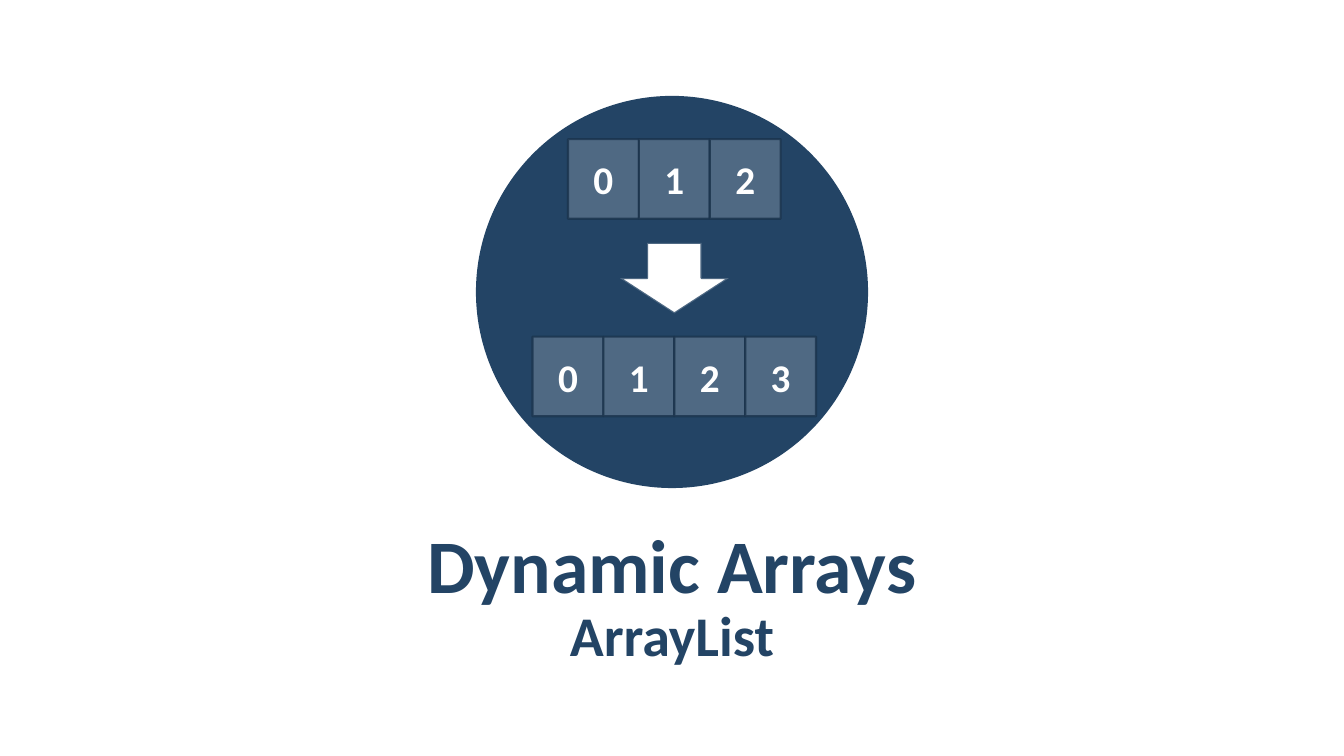
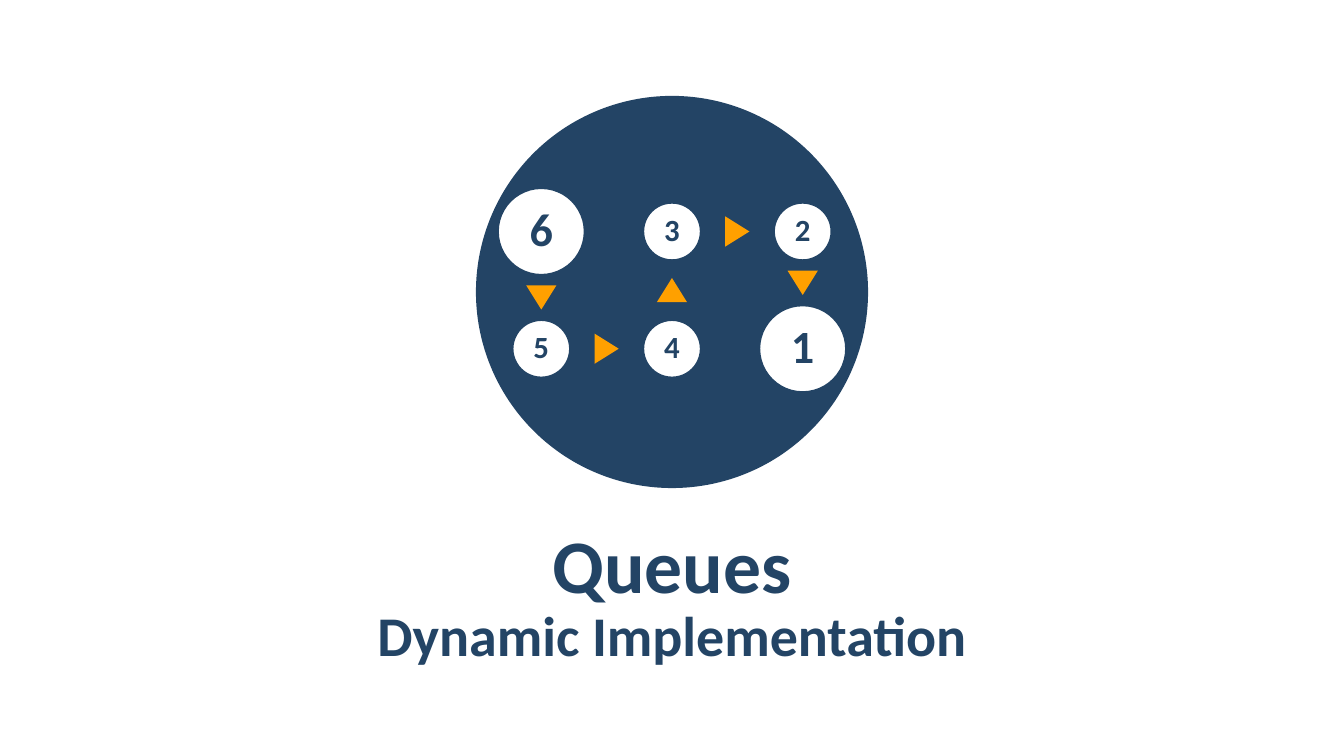
from dataclasses import dataclass
from typing import Optional
from lxml.etree import SubElement
from pptx import Presentation
from pptx.dml.color import RGBColor
from pptx.enum.shapes import MSO_SHAPE
from pptx.enum.text import MSO_ANCHOR, PP_ALIGN
from pptx.oxml.ns import qn
from pptx.util import Inches, Pt

COLS, ROWS = 40, 22.5
CELL = Inches(40 / 3) / COLS
FONT = "Calibri"
HUES = {"navy": "234465", "edge": "1A334C", "white": "FFFFFF", "gold": "FFA000"}


@dataclass(frozen=True)
class Area:
    x: float
    y: float
    wide: float
    high: float

    def place(self) -> list[int]:
        return [round(n * CELL) for n in (self.x, self.y, self.wide, self.high)]


@dataclass(frozen=True)
class Line:
    hue: str
    width: float
    alpha: int = 100


@dataclass(frozen=True)
class Label:
    size: float
    hue: str
    inset: tuple[float, float] = (0.1, 0.05)
    lead: float = 1.0
    gap: float = 0


@dataclass(frozen=True)
class Row:
    top: float
    count: int


@dataclass(frozen=True)
class Node:
    text: str
    col: int
    row: int
    big: bool = False

    @property
    def size(self) -> float:
        return 2.61 if self.big else 1.74

    @property
    def mid(self) -> tuple[float, float]:
        return MID_X + self.col * 3.89, 6.89 + self.row * 3.49


MID_X = COLS / 2
DISC = (MID_X, 8.69, 11.67)
TITLE = Label(54, "navy", (0.12, 0.04), 1.05, 6)
SUB = Label(40, "navy", (0.12, 0.04), 1.05, 6)
TITLE_AT = Area(2, 15.45, 36, 2.52)
SUB_AT = Area(2, 18, 36, 1.65)

BOX_W, BOX_H, BOX_MID = 2.11, 2.37, 20.07
BOX_LINE = Line("edge", 1.5, 80)
BOX_TEXT = Label(28, "white")
LISTS = [Row(4.14, 3), Row(10.02, 4)]

NODE_LINE = Line("navy", 2)
NODES = [
    Node("6", -1, 0, True),
    Node("5", -1, 1),
    Node("4", 0, 1),
    Node("3", 0, 0),
    Node("2", 1, 0),
    Node("1", 1, 1, True),
]


def around(x: float, y: float, wide: float, high: float) -> Area:
    return Area(x - wide / 2, y - high / 2, wide, high)


def fade(fill, alpha: int) -> None:
    if alpha < 100:
        tint = fill._xPr.find(qn("a:solidFill"))[0]
        SubElement(tint, qn("a:alpha")).set("val", str(alpha * 1000))


def paint(fill, hue: str, alpha: int = 100) -> None:
    fill.solid()
    fill.fore_color.rgb = RGBColor.from_string(HUES[hue])
    fade(fill, alpha)


def write(frame, text: str, label: Label) -> None:
    frame.text = text
    frame.word_wrap = True
    frame.vertical_anchor = MSO_ANCHOR.MIDDLE
    side, edge = (Inches(n) for n in label.inset)
    frame.margin_left = frame.margin_right = side
    frame.margin_top = frame.margin_bottom = edge
    para = frame.paragraphs[0]
    para.alignment = PP_ALIGN.CENTER
    para.line_spacing = label.lead
    para.space_before = para.space_after = Pt(label.gap)
    font = para.runs[0].font
    font.name, font.size, font.bold = FONT, Pt(label.size), True
    font.color.rgb = RGBColor.from_string(HUES[label.hue])


def draw(slide, kind: MSO_SHAPE, area: Area, hue: str, alpha: int = 100,
         line: Optional[Line] = None):
    shape = slide.shapes.add_shape(kind, *area.place())
    shape.shadow.inherit = False
    paint(shape.fill, hue, alpha)
    if line is None:
        shape.line.fill.background()
    else:
        shape.line.width = Pt(line.width)
        paint(shape.line.fill, line.hue, line.alpha)
    return shape


def start(deck, title: str, sub: str):
    slide = deck.slides.add_slide(deck.slide_layouts[6])
    x, y, size = DISC
    draw(slide, MSO_SHAPE.OVAL, around(x, y, size, size), "navy")
    for text, area, label in ((title, TITLE_AT, TITLE), (sub, SUB_AT, SUB)):
        box = slide.shapes.add_textbox(*area.place())
        write(box.text_frame, text, label)
    return slide


def draw_list(slide, row: Row) -> None:
    left = BOX_MID - row.count * BOX_W / 2
    for i in range(row.count):
        area = Area(left + i * BOX_W, row.top, BOX_W, BOX_H)
        box = draw(slide, MSO_SHAPE.RECTANGLE, area, "white", 20, BOX_LINE)
        write(box.text_frame, str(i), BOX_TEXT)


def draw_node(slide, node: Node) -> None:
    area = around(*node.mid, node.size, node.size)
    disc = draw(slide, MSO_SHAPE.OVAL, area, "white", line=NODE_LINE)
    size, inset = (33, 0.05) if node.big else (22, 0.03)
    write(disc.text_frame, node.text, Label(size, "navy", (inset, inset), 0.9))


def draw_link(slide, tail: Node, head: Node) -> None:
    across, down = head.col - tail.col, head.row - tail.row
    shift = (tail.size - head.size) / 4
    x = (tail.mid[0] + head.mid[0]) / 2 + across * shift
    y = (tail.mid[1] + head.mid[1]) / 2 + down * shift
    mark = draw(slide, MSO_SHAPE.ISOSCELES_TRIANGLE, around(x, y, 0.9, 0.72), "gold")
    mark.rotation = 90 if across else 90 + 90 * down


def array_slide(deck) -> None:
    slide = start(deck, "Dynamic Arrays", "ArrayList")
    for row in LISTS:
        draw_list(slide, row)
    draw(slide, MSO_SHAPE.DOWN_ARROW, around(BOX_MID, 8.28, 3.24, 2.1), "white",
         line=Line("navy", 1.5, 80))


def queue_slide(deck) -> None:
    slide = start(deck, "Queues", "Dynamic Implementation")
    for node in NODES:
        draw_node(slide, node)
    for tail, head in zip(NODES, NODES[1:]):
        draw_link(slide, tail, head)


def main() -> None:
    deck = Presentation()
    deck.slide_width = round(COLS * CELL)
    deck.slide_height = round(ROWS * CELL)
    array_slide(deck)
    queue_slide(deck)
    deck.save("out.pptx")


main()
